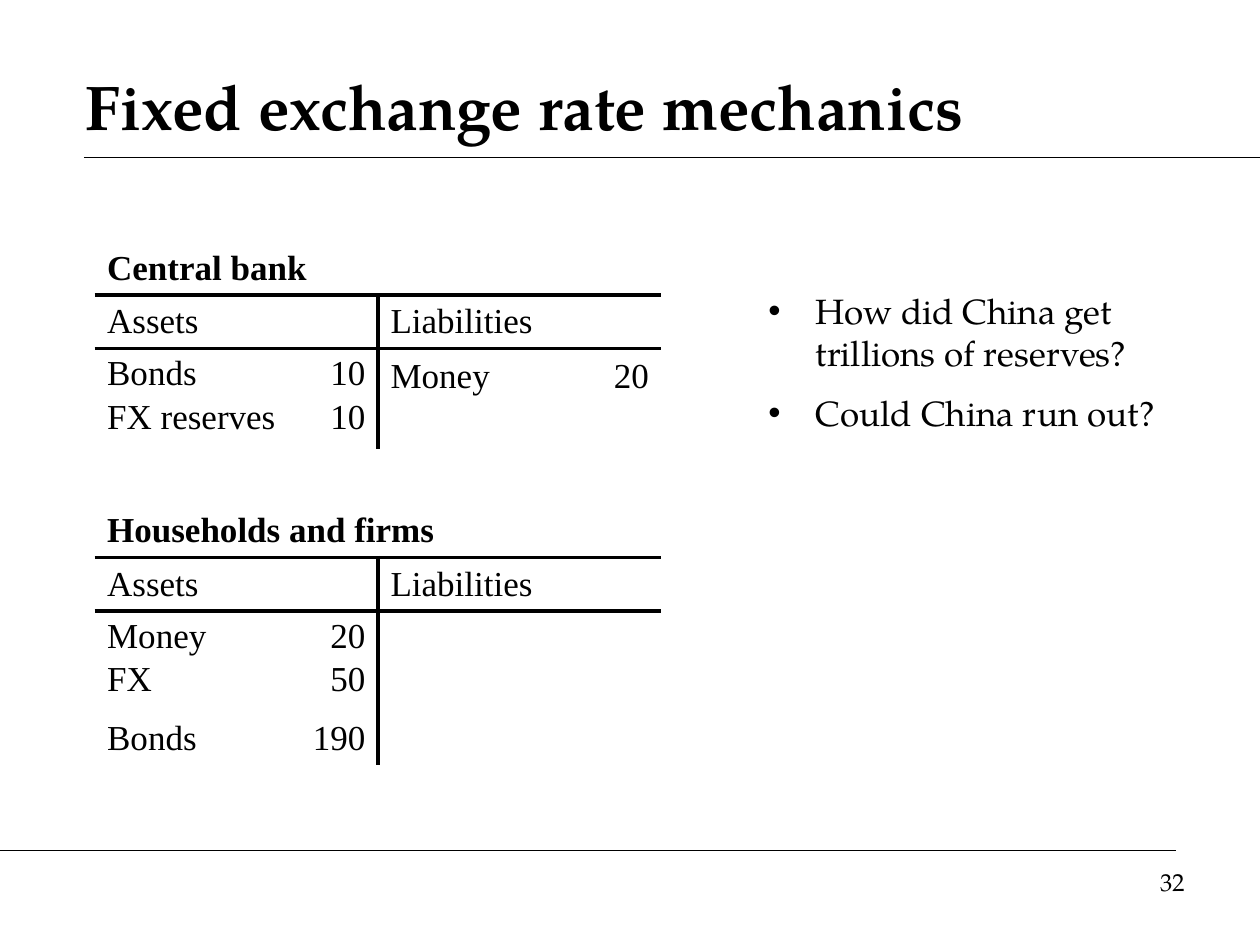
"""Build the slide on fixed exchange rate mechanics."""
import pptx
import pptx.util
import pptx.dml.color
import pptx.enum.shapes
import pptx.enum.text
import pptx.oxml.ns
import lxml.etree

Pt = pptx.util.Pt
RGBColor = pptx.dml.color.RGBColor
BLACK = RGBColor(0, 0, 0)
SERIF = "TeX Gyre Pagella"
TIMES = "Times New Roman"
ALIGN = pptx.enum.text.PP_ALIGN
ANCHOR = pptx.enum.text.MSO_ANCHOR
qn = pptx.oxml.ns.qn


def style(para, face, size, bold=False):
    font = para.font
    font.name, font.size, font.bold = face, Pt(size), bold
    font.color.rgb = BLACK


def edge(cell, sides):
    props = cell._tc.get_or_add_tcPr()
    for spot, side in enumerate("LRTB"):
        line = lxml.etree.Element(qn("a:ln" + side))
        if side in sides:
            line.set("w", str(Pt(2.25)))
            fill = lxml.etree.SubElement(line, qn("a:solidFill"))
            lxml.etree.SubElement(fill, qn("a:srgbClr"), val=str(BLACK))
        else:
            lxml.etree.SubElement(line, qn("a:noFill"))
        props.insert(spot, line)


deck = pptx.Presentation()
deck.slide_width, deck.slide_height = Pt(720), Pt(540)
slide = deck.slides.add_slide(deck.slide_layouts[6])
shapes = slide.shapes

for left, right, top in [(48, 720, 90), (0, 672, 486), (90, 720, 90), (0, 510, 486)]:
    rule = shapes.add_connector(pptx.enum.shapes.MSO_CONNECTOR.STRAIGHT,
                                Pt(left), Pt(top), Pt(right), Pt(top))
    rule.line.color.rgb = BLACK
    rule.line.width = Pt(0.75)
    lxml.etree.SubElement(rule._element.spPr, qn("a:effectLst"))

texts = [
    ((516, 492, 168, 37), ["32"], 14, False, ALIGN.RIGHT, ANCHOR.TOP),
    ((42, 30, 624, 60), ["Fixed exchange rate mechanics"], 36, True, ALIGN.LEFT, ANCHOR.MIDDLE),
    ((432, 162, 246, 276), ["How did China get trillions of reserves?", "Could China run out?"],
     20, False, ALIGN.LEFT, ANCHOR.TOP),
]
for place, lines, size, bold, align, anchor in texts:
    frame = shapes.add_textbox(*map(Pt, place)).text_frame
    frame.word_wrap = True
    frame.vertical_anchor = anchor
    frame.text = "\n".join(lines)
    for index, para in enumerate(frame.paragraphs):
        para.alignment = align
        if len(lines) > 1:
            props = para._p.get_or_add_pPr()
            props.set("marL", str(Pt(27)))
            props.set("indent", str(-Pt(27)))
            lxml.etree.SubElement(props, qn("a:buFont"), typeface="Arial")
            lxml.etree.SubElement(props, qn("a:buChar"), char="•")
        if index:
            para.space_before = Pt(10)
        style(para, SERIF, size, bold)

head = ["Assets", "", "Liabilities", ""]
sheets = [
    (138, (120, 42, 81, 81), [["Central bank", "", "", ""], head,
                              ["Bonds\nFX reserves", "10\n10", "Money", "20"]]),
    (288, (107, 55, 81, 81), [["Households and firms", "", "", ""], head,
                              ["Money\nFX", "20\n50", "", ""],
                              ["Bonds", "190", "", ""]]),
]
for top, widths, rows in sheets:
    highs = [55.5 if row == 2 else 29.5 for row in range(len(rows))]
    table = shapes.add_table(len(rows), 4, Pt(54), Pt(top), Pt(sum(widths)), Pt(sum(highs))).table
    table.first_row = table.horz_banding = False
    for col, width in enumerate(widths):
        table.columns[col].width = Pt(width)
    for row, high in enumerate(highs):
        table.rows[row].height = Pt(high)
        for col in range(4):
            cell = table.cell(row, col)
            cell.fill.background()
            sides = ("B" if row < 2 else "") + ("T" if row in (1, 2) else "")
            if row and (col == 1 or (row, col) == (1, 0)):
                sides += "R"
            if row and col == 2:
                sides += "L"
            edge(cell, sides)
            cell.margin_top = Pt(5 if row == 2 and col > 1 else 3.3)
            cell.margin_bottom = Pt(3.3)
            cell.vertical_anchor = ANCHOR.TOP if row == 2 else ANCHOR.MIDDLE
            cell.text = rows[row][col]
            for index, para in enumerate(cell.text_frame.paragraphs):
                para.alignment = ALIGN.RIGHT if row > 1 and col % 2 else ALIGN.LEFT
                if index:
                    para.space_before = Pt(2.7)
                style(para, TIMES, 20, row == 0)
    table.cell(0, 0).merge(table.cell(0, 3))
    for col in (0, 2):
        table.cell(1, col).merge(table.cell(1, col + 1))

deck.save("out.pptx")
